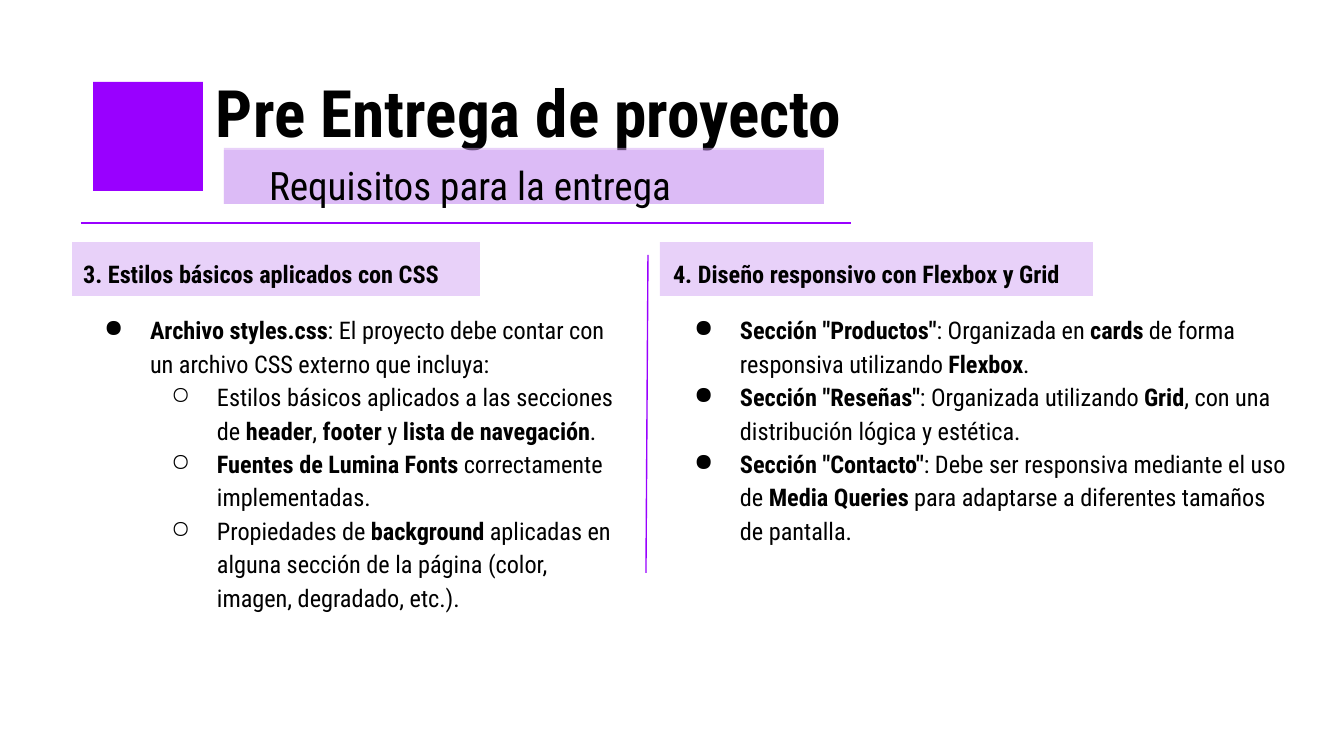
from dataclasses import dataclass

import pptx
import pptx.dml.color
import pptx.enum.shapes
import pptx.enum.text
import pptx.oxml.ns
import pptx.util
from lxml import etree

EMU_PER_PX = 914400 / 134.4
SLIDE_SIZE = (1344, 756)


@dataclass(frozen=True)
class Theme:
    font: str = "Roboto Condensed"
    ink: str = "000000"
    accent: str = "9900FF"
    highlight: str = "D2A6F4"
    highlight_opacity: int = 51
    title_size: int = 35
    subtitle_size: int = 21
    body_size: int = 13
    rule_width: float = 0.75


def px(length):
    return pptx.util.Emu(round(length * EMU_PER_PX))


def rgb(value):
    return pptx.dml.color.RGBColor.from_string(value)


def add_child(parent, tag, **attributes):
    return etree.SubElement(parent, pptx.oxml.ns.qn(tag), **attributes)


def write_text(paragraph, text, *, font, size, color, bold=False,
               line_spacing=None, space_before=0, level=None):
    if level is not None:
        properties = paragraph._p.get_or_add_pPr()
        properties.set("marL", str(px(67 * (level + 1))))
        properties.set("indent", str(px(-46)))
        bullet_color = add_child(properties, "a:buClr")
        add_child(bullet_color, "a:srgbClr", val=color)
        add_child(properties, "a:buChar", char="●○"[level])
        paragraph.level = level
    if line_spacing:
        paragraph.line_spacing = line_spacing
    if space_before:
        paragraph.space_before = pptx.util.Pt(space_before)
    for index, part in enumerate(text.split("**")):
        if part:
            run = paragraph.add_run()
            run.text = part
            run.font.name = font
            run.font.size = pptx.util.Pt(size)
            run.font.color.rgb = rgb(color)
            run.font.bold = bold or index % 2 == 1


class SlideBuilder:
    def __init__(self, slide, theme):
        self.slide = slide
        self.theme = theme

    def rectangle(self, left, top, width, height, color, opacity=100):
        shape = self.slide.shapes.add_shape(
            pptx.enum.shapes.MSO_SHAPE.RECTANGLE,
            px(left), px(top), px(width), px(height))
        shape.shadow.inherit = False
        shape.line.fill.background()
        shape.fill.solid()
        shape.fill.fore_color.rgb = rgb(color)
        if opacity < 100:
            fill_color = shape._element.spPr.find(".//" + pptx.oxml.ns.qn("a:srgbClr"))
            add_child(fill_color, "a:alpha", val=str(opacity * 1000))

    def highlight(self, left, top, width, height):
        self.rectangle(left, top, width, height,
                       self.theme.highlight, self.theme.highlight_opacity)

    def rule(self, start, end):
        connector = self.slide.shapes.add_connector(
            pptx.enum.shapes.MSO_CONNECTOR.STRAIGHT,
            *(px(value) for value in start + end))
        connector.line.color.rgb = rgb(self.theme.accent)
        connector.line.width = pptx.util.Pt(self.theme.rule_width)
        add_child(connector._element.spPr, "a:effectLst")

    def text_box(self, left, top, width, height, size, paragraphs, margin=13, grow=False):
        box = self.slide.shapes.add_textbox(px(left), px(top), px(width), px(height))
        frame = box.text_frame
        frame.word_wrap = True
        if grow:
            frame.auto_size = pptx.enum.text.MSO_AUTO_SIZE.SHAPE_TO_FIT_TEXT
        frame.margin_left = frame.margin_right = px(margin)
        frame.margin_top = frame.margin_bottom = px(margin)
        for index, (text, options) in enumerate(paragraphs):
            paragraph = frame.add_paragraph() if index else frame.paragraphs[0]
            write_text(paragraph, text, font=self.theme.font, size=size,
                       color=self.theme.ink, **options)

    def requirements(self, left, top, width, height, heading, items):
        paragraphs = [(heading, {"bold": True, "line_spacing": 1.15})]
        for index, (level, text) in enumerate(items):
            paragraphs.append((text, {"level": level, "line_spacing": 1.15,
                                      "space_before": 0 if index else 12}))
        self.text_box(left, top, width, height, self.theme.body_size, paragraphs)


CSS_ITEMS = [
    (0, "**Archivo styles.css**: El proyecto debe contar con un archivo CSS externo que incluya:"),
    (1, "Estilos básicos aplicados a las secciones de **header**, **footer** y "
        "**lista de navegación**."),
    (1, "**Fuentes de Lumina Fonts** correctamente implementadas."),
    (1, "Propiedades de **background** aplicadas en alguna sección de la página "
        "(color, imagen, degradado, etc.)."),
]
LAYOUT_ITEMS = [
    (0, '**Sección "Productos"**: Organizada en **cards** de forma responsiva '
        "utilizando **Flexbox**."),
    (0, '**Sección "Reseñas"**: Organizada utilizando **Grid**, con una '
        "distribución lógica y estética."),
    (0, '**Sección "Contacto"**: Debe ser responsiva mediante el uso de '
        "**Media Queries** para adaptarse a diferentes tamaños de pantalla."),
]


def main():
    presentation = pptx.Presentation()
    presentation.slide_width, presentation.slide_height = map(px, SLIDE_SIZE)
    slide = presentation.slides.add_slide(presentation.slide_layouts[6])
    theme = Theme()
    builder = SlideBuilder(slide, theme)

    builder.highlight(660, 242, 433, 54)
    builder.highlight(72, 242, 408, 54)
    builder.text_box(203, 59, 1059, 109, theme.title_size,
                     [("Pre Entrega de proyecto", {"bold": True})])
    builder.rule((81, 223), (851, 223))
    builder.requirements(70, 242, 564, 366,
                         "3. Estilos básicos aplicados con CSS", CSS_ITEMS)
    builder.requirements(660, 242, 646, 413,
                         "4. Diseño responsivo con Flexbox y Grid", LAYOUT_ITEMS)
    for top in (150, 148):
        builder.highlight(224, top, 600, 204 - top)
    builder.text_box(269, 152, 540, 47, theme.subtitle_size,
                     [("Requisitos para la entrega", {"line_spacing": 1.2})],
                     margin=0, grow=True)
    builder.rule((648, 255), (646, 573))
    builder.rectangle(93, 82, 110, 109, theme.accent)

    presentation.save("out.pptx")


if __name__ == "__main__":
    main()
